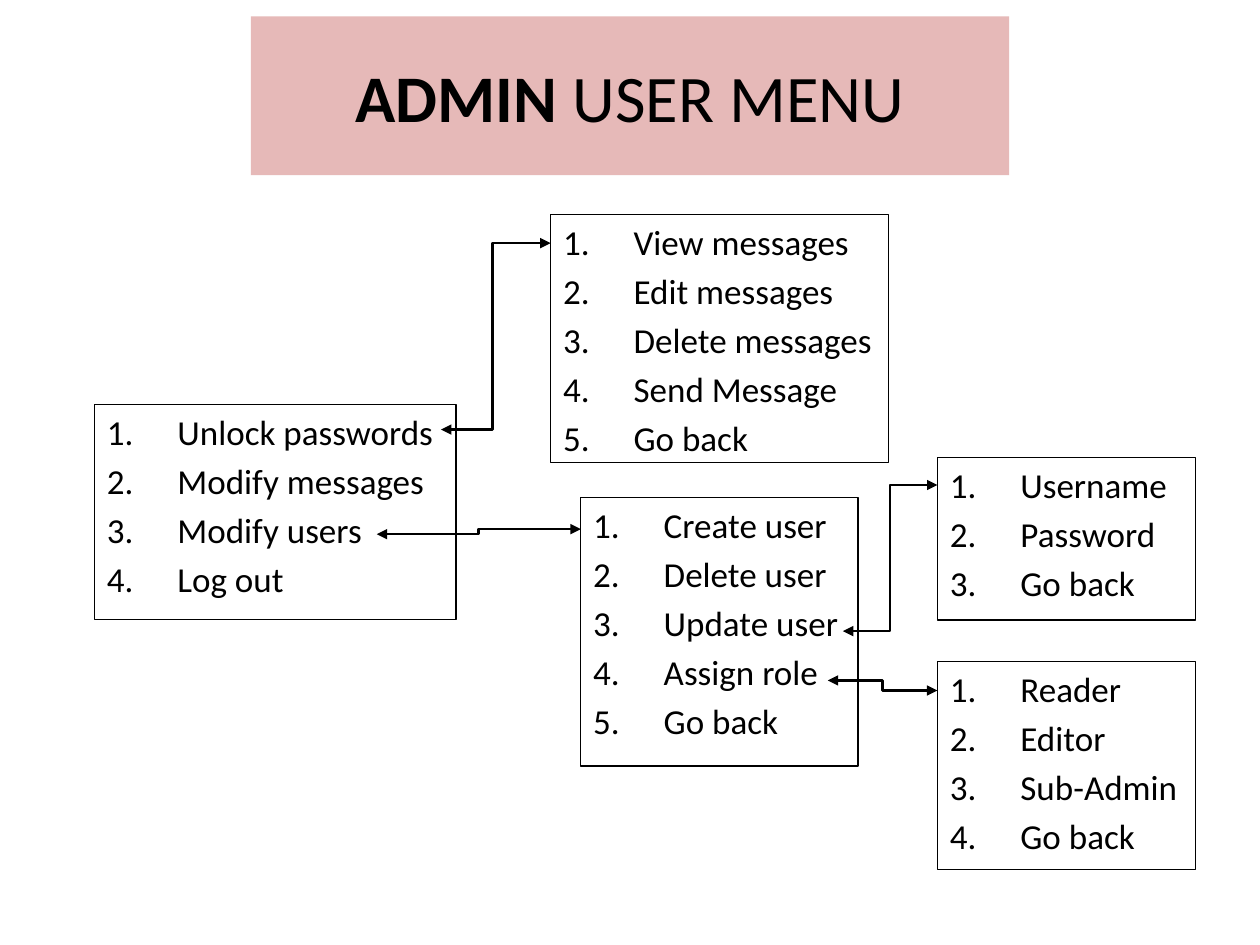
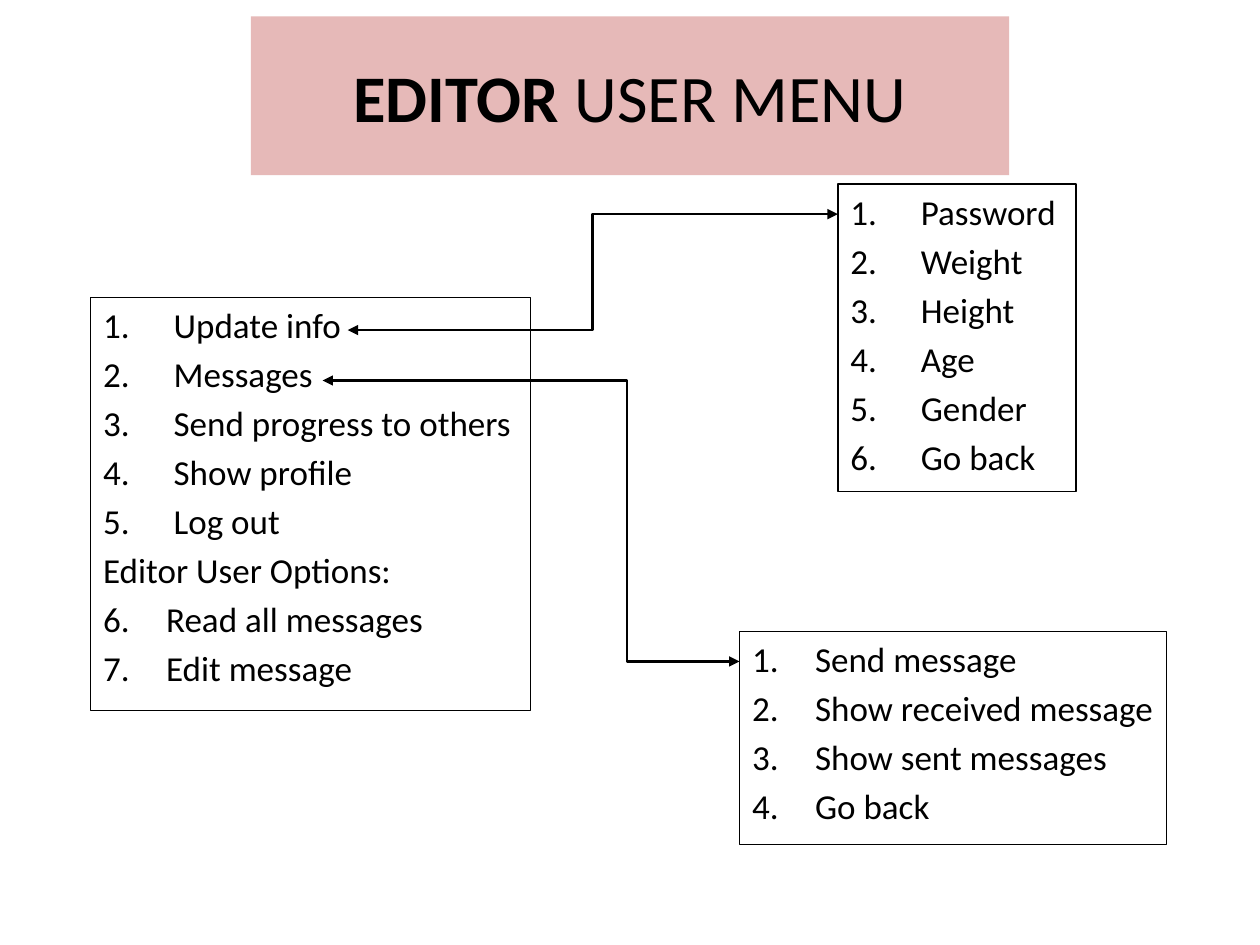
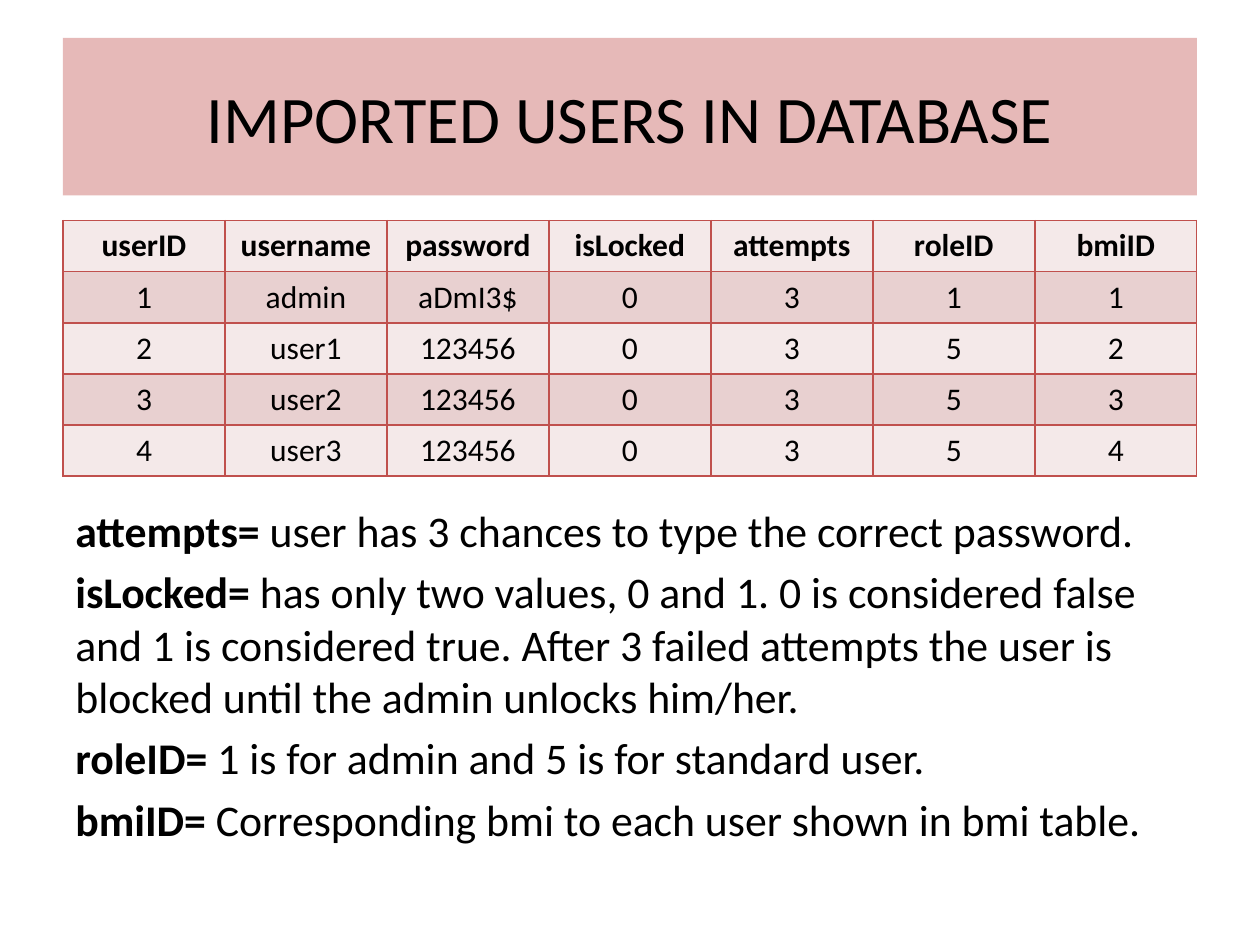
from dataclasses import dataclass
from typing import NamedTuple

from lxml import etree
from pptx import Presentation
from pptx import util as u
from pptx.dml.color import RGBColor
from pptx.enum import shapes, text
from pptx.oxml.ns import qn


@dataclass(frozen=True)
class Theme:
    font: str = "Calibri"
    ink: str = "000000"
    band: str = "E6B9B8"
    grid: str = "C0504D"
    row_light: str = "F4E9E9"
    row_dark: str = "E8D0D0"
    title_pt: float = 38
    menu_pt: float = 20
    table_pt: float = 18
    legend_pt: float = 25
    outline_pt: float = 0.75
    arrow_pt: float = 1.5
    grid_pt: float = 1


class Box(NamedTuple):
    left: float
    top: float
    width: float
    height: float

    def inches(self) -> list[int]:
        return [u.Inches(v) for v in self]


class Run(NamedTuple):
    text: str
    bold: bool = False


class Items(NamedTuple):
    lines: list[str]
    indent: float = 0.56
    start: int = 1
    numbered: bool = True


class Menu(NamedTuple):
    box: Box
    groups: list[Items]


class Arrow(NamedTuple):
    start: tuple[float, float]
    end: tuple[float, float]
    bend: float = 0.5


class MenuSlide(NamedTuple):
    role: str
    menus: list[Menu]
    arrows: list[Arrow]


THEME = Theme()
MENU_TITLE = Box(1.99, 0.13, 6.02, 1.26)
LEFT, FULL_WIDTH = 0.5, 9
SPACE_RATIO = 0.2

MENU_SLIDES = [
    MenuSlide(
        "ADMIN",
        [
            Menu(Box(0.75, 3.21, 2.87, 1.71), [Items(
                ["Unlock passwords", "Modify messages", "Modify users", "Log out"])]),
            Menu(Box(4.37, 1.7, 2.68, 1.97), [Items(
                ["View messages", "Edit messages", "Delete messages", "Send Message", "Go back"])]),
            Menu(Box(4.61, 3.95, 2.2, 2.13), [Items(
                ["Create user", "Delete user", "Update user", "Assign role", "Go back"])]),
            Menu(Box(7.44, 3.63, 2.05, 1.29), [Items(["Username", "Password", "Go back"])]),
            Menu(Box(7.44, 5.25, 2.05, 1.65), [Items(
                ["Reader", "Editor", "Sub-Admin", "Go back"])]),
        ],
        [
            Arrow((3.5, 3.41), (4.37, 1.93), 0.47),
            Arrow((2.99, 4.24), (4.61, 4.2)),
            Arrow((6.69, 5.01), (7.44, 3.85)),
            Arrow((6.57, 5.4), (7.44, 5.48)),
        ],
    ),
    MenuSlide(
        "EDITOR",
        [
            Menu(Box(0.72, 2.36, 3.49, 3.28), [
                Items(["Update info", "Messages", "Send progress to others",
                       "Show profile", "Log out"]),
                Items(["Editor User Options:"], indent=0, numbered=False),
                Items(["Read all messages", "Edit message"], indent=0.5, start=6),
            ]),
            Menu(Box(6.65, 1.46, 1.89, 2.44), [Items(
                ["Password", "Weight", "Height", "Age", "Gender", "Go back"])]),
            Menu(Box(5.87, 5.01, 3.39, 1.69), [Items(
                ["Send message", "Show received message", "Show sent messages", "Go back"],
                indent=0.5)]),
        ],
        [
            Arrow((2.76, 2.62), (6.65, 1.7)),
            Arrow((2.56, 3.02), (5.87, 5.25), 0.73),
        ],
    ),
]

USERS = [
    ["userID", "username", "password", "isLocked", "attempts", "roleID", "bmiID"],
    ["1", "admin", "aDmI3$", "0", "3", "1", "1"],
    ["2", "user1", "123456", "0", "3", "5", "2"],
    ["3", "user2", "123456", "0", "3", "5", "3"],
    ["4", "user3", "123456", "0", "3", "5", "4"],
]

COLUMN_LEGEND = [
    ("attempts=", " user has 3 chances to type the correct password."),
    ("isLocked=", " has only two values, 0 and 1. 0 is considered false and 1 is considered true. "
                  "After 3 failed attempts the user is blocked until the admin unlocks him/her."),
    ("roleID=", " 1 is for admin and 5 is for standard user."),
    ("bmiID=", " Corresponding bmi to each user shown in bmi table."),
]


def rgb(color: str) -> RGBColor:
    return RGBColor.from_string(color)


def write(p, *runs: Run, size: float, align=text.PP_ALIGN.LEFT, space: float = 0,
          indent: float = 0, number: int | None = None) -> None:
    p.alignment = align
    p.space_before = u.Pt(space)
    for run in runs:
        r = p.add_run()
        r.text = run.text
        r.font.name = THEME.font
        r.font.size = u.Pt(size)
        r.font.bold = run.bold
        r.font.color.rgb = rgb(THEME.ink)
    if number is not None:
        pPr = p._p.get_or_add_pPr()
        pPr.set("marL", str(u.Inches(indent)))
        pPr.set("indent", str(-u.Inches(indent)))
        bullet = etree.SubElement(pPr, qn("a:buAutoNum"), type="arabicPeriod")
        if number > 1:
            bullet.set("startAt", str(number))


def next_paragraph(tf, index: int):
    return tf.paragraphs[0] if index == 0 else tf.add_paragraph()


def add_panel(s, box: Box, fill: str | None = None, line: str | None = None,
              anchor=text.MSO_ANCHOR.TOP):
    sp = s.shapes.add_shape(shapes.MSO_SHAPE.RECTANGLE, *box.inches())
    sp.shadow.inherit = False
    if fill:
        sp.fill.solid()
        sp.fill.fore_color.rgb = rgb(fill)
    else:
        sp.fill.background()
    if line:
        sp.line.color.rgb = rgb(line)
        sp.line.width = u.Pt(THEME.outline_pt)
    else:
        sp.line.fill.background()
    tf = sp.text_frame
    tf.word_wrap = True
    tf.vertical_anchor = anchor
    return tf


def add_title(s, box: Box, *runs: Run) -> None:
    tf = add_panel(s, box, fill=THEME.band, anchor=text.MSO_ANCHOR.MIDDLE)
    write(tf.paragraphs[0], *runs, size=THEME.title_pt, align=text.PP_ALIGN.CENTER)


def add_menu(s, menu: Menu) -> None:
    tf = add_panel(s, menu.box, line=THEME.ink)
    lines = [(line, group) for group in menu.groups for line in group.lines]
    for i, (line, group) in enumerate(lines):
        write(next_paragraph(tf, i), Run(line), size=THEME.menu_pt,
              space=THEME.menu_pt * SPACE_RATIO, indent=group.indent,
              number=group.start if group.numbered else None)


def add_arrow(s, arrow: Arrow) -> None:
    ends = [u.Inches(v) for v in (*arrow.start, *arrow.end)]
    cn = s.shapes.add_connector(shapes.MSO_CONNECTOR.ELBOW, *ends)
    cn.line.color.rgb = rgb(THEME.ink)
    cn.line.width = u.Pt(THEME.arrow_pt)
    spPr = cn._element.spPr
    guides = spPr.find(qn("a:prstGeom")).find(qn("a:avLst"))
    etree.SubElement(guides, qn("a:gd"), name="adj1", fmla=f"val {round(arrow.bend * 100000)}")
    ln = spPr.find(qn("a:ln"))
    for tag in ("a:headEnd", "a:tailEnd"):
        etree.SubElement(ln, qn(tag), type="triangle")
    etree.SubElement(spPr, qn("a:effectLst"))


def add_borders(cell) -> None:
    tcPr = cell._tc.get_or_add_tcPr()
    for side in ("a:lnL", "a:lnR", "a:lnT", "a:lnB"):
        ln = etree.SubElement(tcPr, qn(side), w=str(u.Pt(THEME.grid_pt)))
        fill = etree.SubElement(ln, qn("a:solidFill"))
        etree.SubElement(fill, qn("a:srgbClr"), val=THEME.grid)


def add_user_table(s, box: Box) -> None:
    table = s.shapes.add_table(len(USERS), len(USERS[0]), *box.inches()).table
    table.first_row = table.horz_banding = False
    for i, row in enumerate(USERS):
        for j, value in enumerate(row):
            cell = table.cell(i, j)
            add_borders(cell)
            cell.fill.solid()
            cell.fill.fore_color.rgb = rgb(THEME.row_dark if i % 2 else THEME.row_light)
            cell.vertical_anchor = text.MSO_ANCHOR.MIDDLE
            write(cell.text_frame.paragraphs[0], Run(value, bold=i == 0),
                  size=THEME.table_pt, align=text.PP_ALIGN.CENTER)


def add_legend(s, box: Box) -> None:
    tf = s.shapes.add_textbox(*box.inches()).text_frame
    tf.word_wrap = True
    for i, (name, meaning) in enumerate(COLUMN_LEGEND):
        write(next_paragraph(tf, i), Run(name, bold=True), Run(meaning),
              size=THEME.legend_pt, space=THEME.legend_pt * SPACE_RATIO)


def main() -> None:
    prs = Presentation()
    prs.slide_width, prs.slide_height = u.Inches(10), u.Inches(7.5)
    blank = prs.slide_layouts[6]

    for page in MENU_SLIDES:
        s = prs.slides.add_slide(blank)
        add_title(s, MENU_TITLE, Run(page.role, bold=True), Run(" USER MENU"))
        for menu in page.menus:
            add_menu(s, menu)
        for arrow in page.arrows:
            add_arrow(s, arrow)

    s = prs.slides.add_slide(blank)
    add_title(s, Box(LEFT, 0.3, FULL_WIDTH, 1.25), Run("IMPORTED USERS IN DATABASE"))
    add_user_table(s, Box(LEFT, 1.75, FULL_WIDTH, 2.03))
    add_legend(s, Box(LEFT, 3.95, FULL_WIDTH, 2.87))

    prs.save("out.pptx")


if __name__ == "__main__":
    main()
